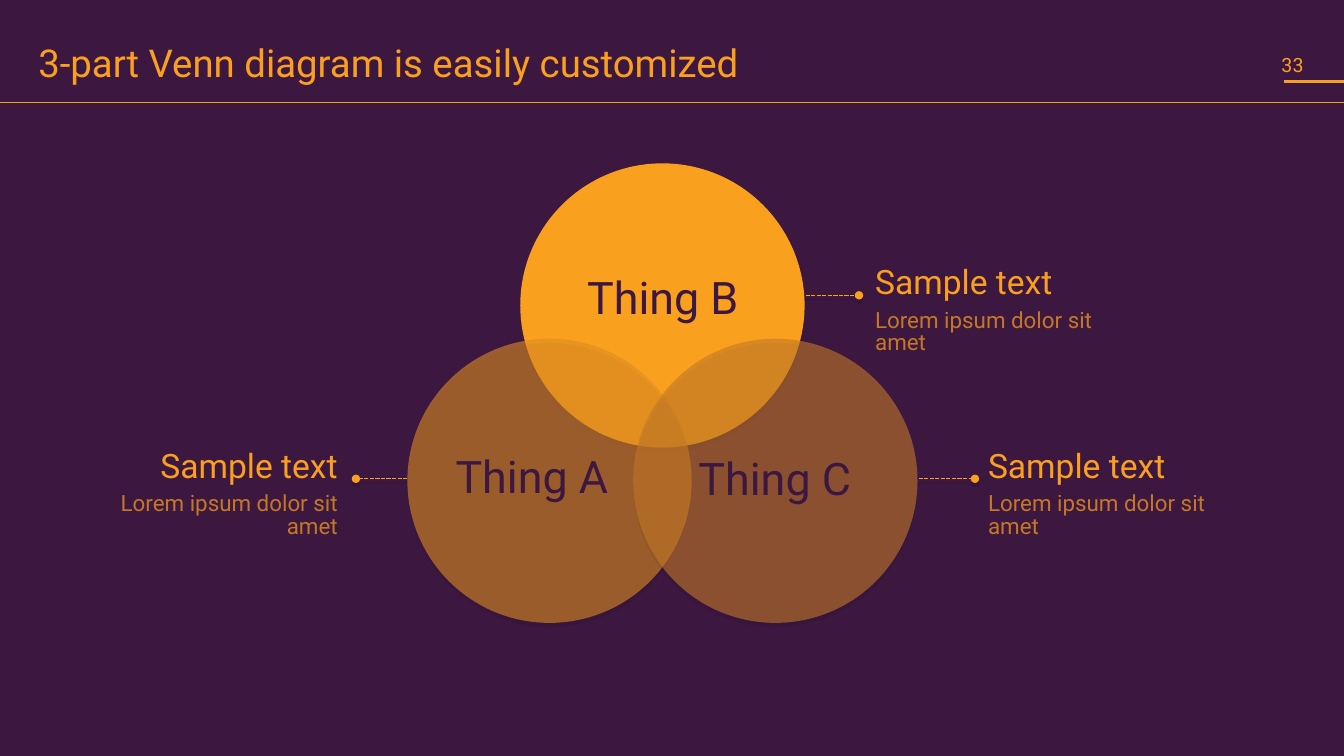
from dataclasses import dataclass
from typing import Optional

from lxml.etree import SubElement
from pptx import Presentation
from pptx.dml.color import RGBColor
from pptx.enum.dml import MSO_LINE
from pptx.enum.shapes import MSO_CONNECTOR, MSO_SHAPE
from pptx.enum.text import MSO_ANCHOR, PP_ALIGN
from pptx.oxml.ns import qn
from pptx.util import Inches, Pt

COLORS = {"plum": "3C1740", "gold": "F9A01E", "amber": "DE8C22", "rust": "C37827"}
FONT = "Roboto"
SIZE = 2.82


@dataclass(frozen=True)
class Circle:
    left: float
    top: float
    color: str
    alpha: Optional[int] = None


@dataclass(frozen=True)
class Label:
    text: str
    left: float
    top: float


@dataclass(frozen=True)
class Callout:
    left: float
    top: float
    start: float
    end: float
    align: PP_ALIGN = PP_ALIGN.LEFT


CIRCLES = [
    Circle(5.16, 1.62, "gold"),
    Circle(4.04, 3.36, "amber", 60),
    Circle(6.28, 3.36, "rust", 60),
]
LABELS = [
    Label("Thing A", 4.25, 4.44),
    Label("Thing B", 5.55, 2.67),
    Label("Thing C", 6.66, 4.46),
]
CALLOUTS = [
    Callout(8.68, 2.65, 7.99, 8.52),
    Callout(9.8, 4.47, 9.11, 9.67),
    Callout(0.65, 4.47, 4.04, 3.53, PP_ALIGN.RIGHT),
]


def tint(name: str) -> RGBColor:
    return RGBColor.from_string(COLORS[name])


def add_shade(props, show: bool = True) -> None:
    effect = SubElement(props, qn("a:effectLst"))
    if show:
        outer = SubElement(effect, qn("a:outerShdw"), blurRad="0", dist=str(Pt(3)),
                           dir="5400000", algn="t", rotWithShape="0")
        color = SubElement(outer, qn("a:srgbClr"), val="000000")
        SubElement(color, qn("a:alpha"), val="10000")


def add_text(slide, lines: list[tuple[str, float, str]], left: float, top: float,
             width: float, height: float, *, inset: float = 0.05,
             align: PP_ALIGN = PP_ALIGN.LEFT, anchor: MSO_ANCHOR = MSO_ANCHOR.TOP,
             space: float = 1, gap: float = 0, wrap: bool = True) -> None:
    box = slide.shapes.add_textbox(Inches(left), Inches(top), Inches(width), Inches(height))
    frame = box.text_frame
    frame.word_wrap = wrap
    frame.vertical_anchor = anchor
    frame.margin_left = frame.margin_right = Inches(inset)
    frame.margin_top = frame.margin_bottom = Inches(inset)
    for index, (text, size, color) in enumerate(lines):
        para = frame.add_paragraph() if index else frame.paragraphs[0]
        para.alignment = align
        para.line_spacing = space
        if index:
            para.space_before = Pt(gap)
        run = para.add_run()
        run.text = text
        run.font.name = FONT
        run.font.size = Pt(size)
        run.font.color.rgb = tint(color)


def add_line(slide, start: float, end: float, top: float, width: float,
             dotted: bool = False) -> None:
    line = slide.shapes.add_connector(MSO_CONNECTOR.STRAIGHT, Inches(start), Inches(top),
                                      Inches(end), Inches(top))
    line.line.color.rgb = tint("gold")
    line.line.width = Pt(width)
    props = line.element.spPr
    if dotted:
        line.line.dash_style = MSO_LINE.SQUARE_DOT
        SubElement(props.find(qn("a:ln")), qn("a:tailEnd"), type="oval")
    add_shade(props, dotted)


def add_circle(slide, item: Circle) -> None:
    shape = slide.shapes.add_shape(MSO_SHAPE.OVAL, Inches(item.left), Inches(item.top),
                                   Inches(SIZE), Inches(SIZE))
    shape.fill.solid()
    shape.fill.fore_color.rgb = tint(item.color)
    shape.line.fill.background()
    props = shape.element.spPr
    if item.alpha is not None:
        color = props.find(qn("a:solidFill")).find(qn("a:srgbClr"))
        SubElement(color, qn("a:alpha"), val=str(item.alpha * 1000))
    add_shade(props)


def add_callout(slide, item: Callout) -> None:
    lines = [("Sample text", 24, "gold"), ("Lorem ipsum dolor sit amet", 16, "rust")]
    add_text(slide, lines, item.left, item.top, 2.7, 0.68, inset=0,
             align=item.align, space=0.85, gap=6)
    add_line(slide, item.start, item.end, item.top + 0.28, 1, dotted=True)


def main() -> None:
    deck = Presentation()
    deck.slide_width, deck.slide_height = Inches(13.33), Inches(7.5)
    slide = deck.slides.add_slide(deck.slide_layouts[6])
    slide.background.fill.solid()
    slide.background.fill.fore_color.rgb = tint("plum")

    add_line(slide, 12.73, 13.33, 0.81, 2)
    add_line(slide, 0, 13.33, 1.02, 0.5)
    add_text(slide, [("33", 14, "gold")], 12.64, 0.46, 0.36, 0.37, inset=0.07,
             anchor=MSO_ANCHOR.MIDDLE, wrap=False)
    add_text(slide, [("3-part Venn diagram is easily customized", 27.4, "gold")],
             0.33, 0.45, 11.43, 0.54, space=0.75)

    for circle in CIRCLES:
        add_circle(slide, circle)
    for label in LABELS:
        add_text(slide, [(label.text, 32, "plum")], label.left, label.top, 2.05, 0.63,
                 align=PP_ALIGN.CENTER, space=0.95)
    for callout in CALLOUTS:
        add_callout(slide, callout)
    deck.save("out.pptx")


if __name__ == "__main__":
    main()
